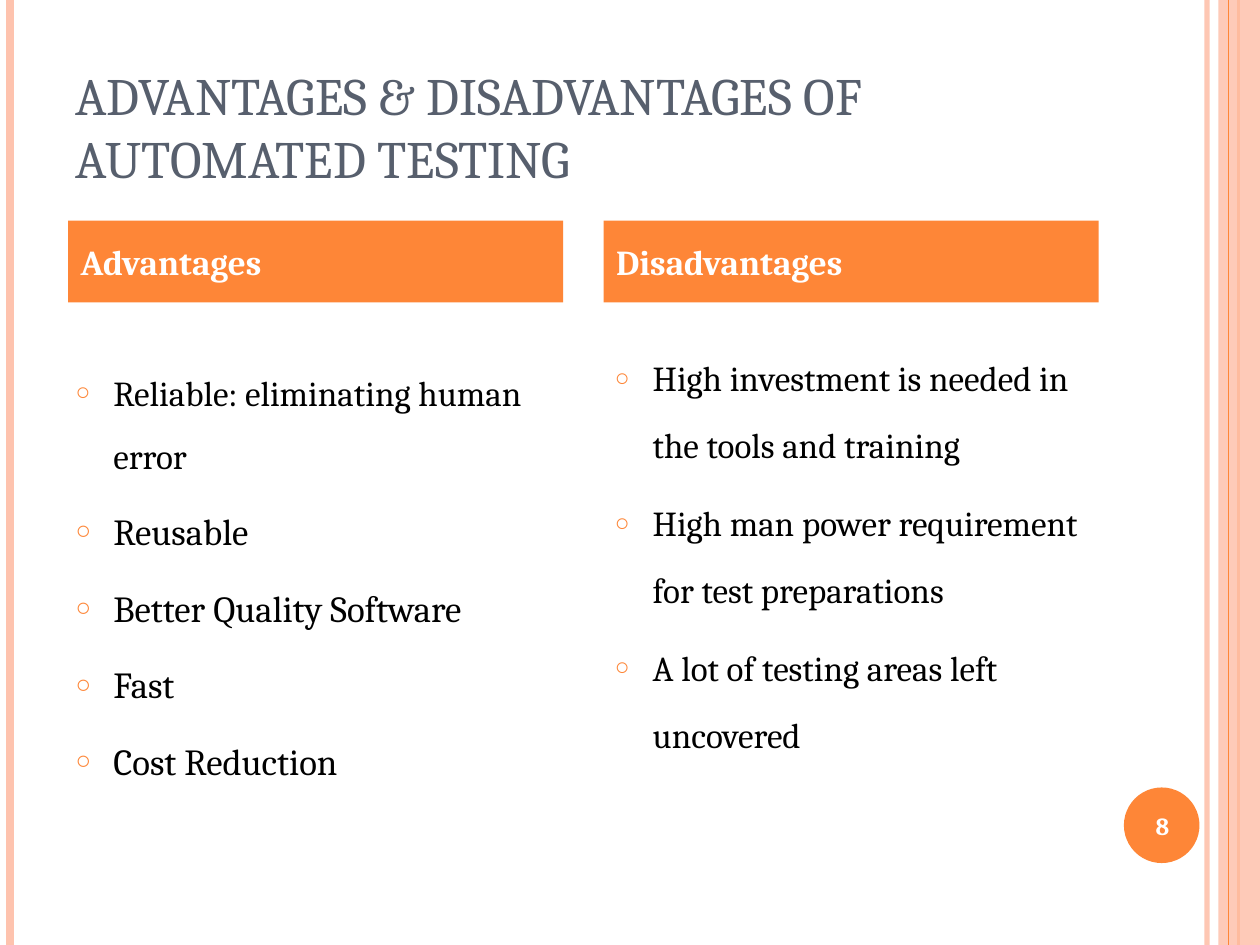
from lxml.etree import SubElement
from pptx import Presentation
from pptx.dml.color import RGBColor
from pptx.enum.shapes import MSO_CONNECTOR, MSO_SHAPE
from pptx.enum.text import MSO_ANCHOR, MSO_AUTO_SIZE, PP_ALIGN
from pptx.oxml.ns import qn
from pptx.util import Inches, Pt

FONT = "Cambria"
ORANGE, PEACH, SLATE, WHITE, BLACK = "FE8637", "FEC3AE", "575F6D", "FFFFFF", "000000"
WIDTH, HEIGHT = 10, 7.5

TITLE = "ADVANTAGES & DISADVANTAGES OF AUTOMATED TESTING"
COLUMNS = [
    {
        "heading": "Advantages",
        "heading_left": 0.54,
        "list_box": (0.5, 2.73, 4, 4.1),
        "line_spacing": 1.5,
        "items": [
            ("Reliable: eliminating human error", 20),
            ("Reusable", 21),
            ("Better Quality Software", 21),
            ("Fast", 21),
            ("Cost Reduction", 21),
        ],
    },
    {
        "heading": "Disadvantages",
        "heading_left": 4.79,
        "list_box": (4.78, 2.58, 4, 4.25),
        "line_spacing": 1.6,
        "items": [
            ("High investment is needed in the tools and training", 20),
            ("High man power requirement for test preparations", 20),
            ("A lot of testing areas left uncovered", 20),
        ],
    },
]
PAGE_NUMBER = "8"
STRIPES_BEHIND_BAND = [(9.58, PEACH, 3, 93), (0.08, PEACH, 4.5, 100), (9.83, ORANGE, 1.5, 100)]
STRIPE_OVER_BAND = (9.75, ORANGE, 0.75, 100)


def paint(color_format, color):
    color_format.rgb = RGBColor.from_string(color)


def set_opacity(element, percent):
    color = next(element.iter(qn("a:srgbClr")))
    SubElement(color, qn("a:alpha"), val=str(percent * 1000))


def add_stripe(slide, x, color, width, opacity):
    stripe = slide.shapes.add_connector(
        MSO_CONNECTOR.STRAIGHT, Inches(x), Inches(0), Inches(x), Inches(HEIGHT)
    )
    paint(stripe.line.color, color)
    stripe.line.width = Pt(width)
    properties = stripe.element.spPr
    if opacity < 100:
        set_opacity(properties, opacity)
    SubElement(properties, qn("a:effectLst"))


def add_solid(slide, kind, box, color):
    shape = slide.shapes.add_shape(kind, *map(Inches, box))
    shape.shadow.inherit = False
    shape.fill.solid()
    paint(shape.fill.fore_color, color)
    shape.line.fill.background()
    return shape


def place(shape, box, anchor):
    shape.left, shape.top, shape.width, shape.height = map(Inches, box)
    frame = shape.text_frame
    frame.word_wrap = True
    frame.auto_size = MSO_AUTO_SIZE.NONE
    frame.vertical_anchor = anchor
    return frame


def write(paragraph, text, size, color, bold=False, align=PP_ALIGN.LEFT):
    paragraph.alignment = align
    run = paragraph.add_run()
    run.text = text
    run.font.name = FONT
    run.font.size = Pt(size)
    run.font.bold = bold
    paint(run.font.color, color)


def add_bullet(paragraph):
    properties = paragraph._p.get_or_add_pPr()
    properties.set("marL", str(Inches(0.3)))
    properties.set("indent", str(Inches(-0.3)))
    bullet_color = SubElement(properties, qn("a:buClr"))
    SubElement(bullet_color, qn("a:srgbClr"), val=ORANGE)
    SubElement(properties, qn("a:buSzPct"), val="70000")
    SubElement(properties, qn("a:buChar"), char="○")


def fill_column(heading, body, column):
    frame = place(heading, (column["heading_left"], 1.75, 3.93, 0.65), MSO_ANCHOR.MIDDLE)
    heading.fill.solid()
    paint(heading.fill.fore_color, ORANGE)
    frame.paragraphs[0].space_before = Pt(6)
    write(frame.paragraphs[0], column["heading"], 20, WHITE, bold=True)

    frame = place(body, column["list_box"], MSO_ANCHOR.TOP)
    for index, (text, size) in enumerate(column["items"]):
        paragraph = frame.add_paragraph() if index else frame.paragraphs[0]
        paragraph.line_spacing = column["line_spacing"]
        paragraph.space_before = Pt(6)
        add_bullet(paragraph)
        write(paragraph, text, size, BLACK)


def main():
    presentation = Presentation()
    presentation.slide_width, presentation.slide_height = Inches(WIDTH), Inches(HEIGHT)
    comparison_layout = presentation.slide_layouts[4]
    slide = presentation.slides.add_slide(comparison_layout)
    title, *column_holders = slide.placeholders

    for stripe in STRIPES_BEHIND_BAND:
        add_stripe(slide, *stripe)
    band = add_solid(slide, MSO_SHAPE.RECTANGLE, (9.67, 0, 0.33, HEIGHT), PEACH)
    set_opacity(band.element.spPr, 87)
    add_stripe(slide, *STRIPE_OVER_BAND)
    add_solid(slide, MSO_SHAPE.OVAL, (8.92, 6.25, 0.6, 0.6), ORANGE)

    frame = place(title, (0.5, 0.3, 8.25, 1.25), MSO_ANCHOR.BOTTOM)
    write(frame.paragraphs[0], TITLE, 30, SLATE)

    for heading, body, column in zip(column_holders[::2], column_holders[1::2], COLUMNS):
        fill_column(heading, body, column)

    number_box = (8.89, 6.27, 0.67, 0.57)
    number = slide.shapes.add_textbox(*map(Inches, number_box))
    frame = place(number, number_box, MSO_ANCHOR.MIDDLE)
    write(frame.paragraphs[0], PAGE_NUMBER, 14, WHITE, bold=True, align=PP_ALIGN.CENTER)

    presentation.save("out.pptx")


if __name__ == "__main__":
    main()
